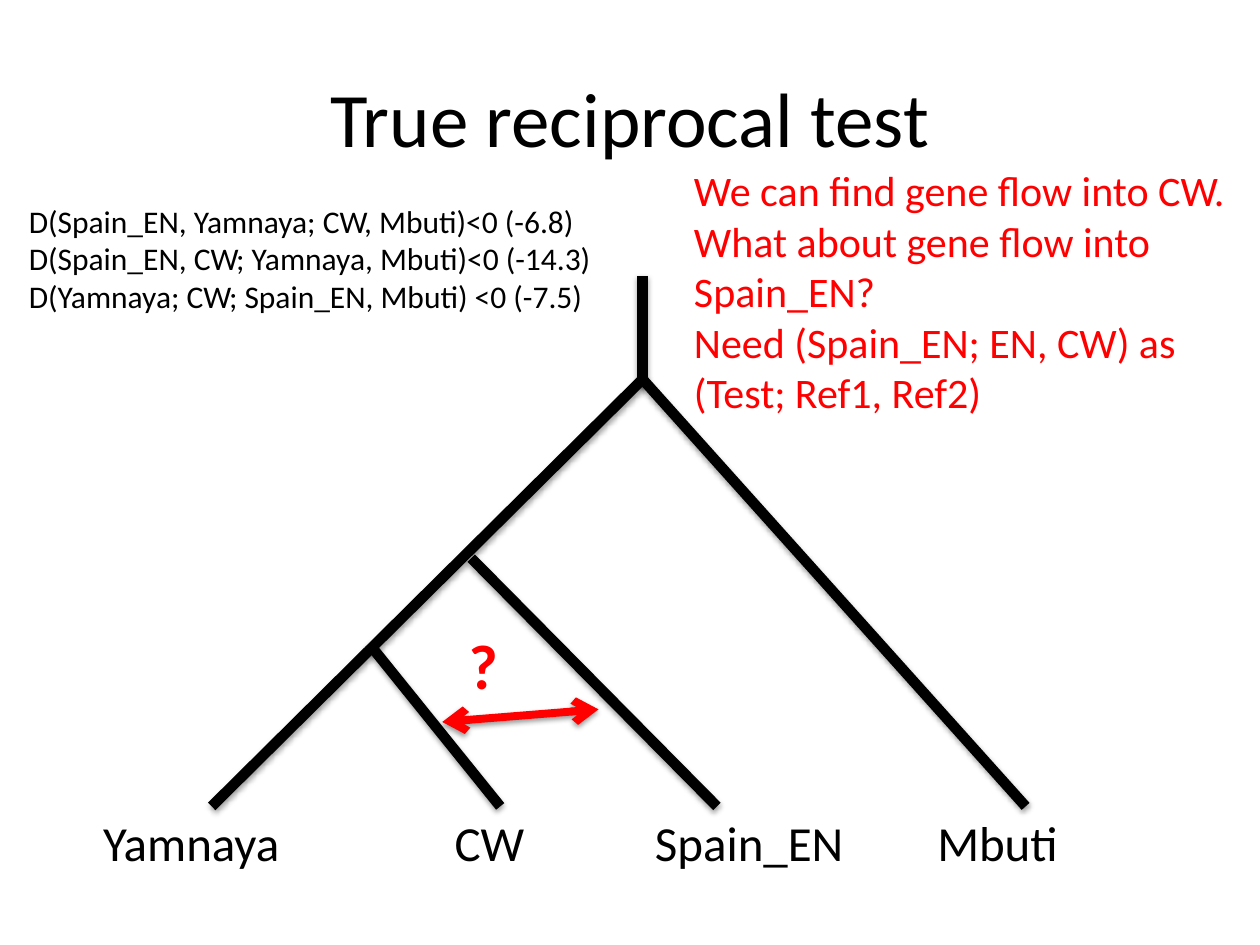
from dataclasses import dataclass

import pptx
import pptx.dml.color
import pptx.enum.shapes
import pptx.enum.text
import pptx.oxml
import pptx.oxml.ns
import pptx.util

Inches = pptx.util.Inches
Pt = pptx.util.Pt
ANCHOR = pptx.enum.text.MSO_ANCHOR
ALIGN = pptx.enum.text.PP_ALIGN

COLORS = {"ink": "000000", "accent": "FF0000"}
FONT = "Calibri"
SHADOW_XML = (
    f"<a:effectLst {pptx.oxml.ns.nsdecls('a')}>"
    f'<a:outerShdw blurRad="{Pt(3.1)}" dist="{Pt(1.6)}" dir="5400000" rotWithShape="0">'
    f'<a:srgbClr val="{COLORS["ink"]}"><a:alpha val="38000"/></a:srgbClr>'
    "</a:outerShdw></a:effectLst>"
)


@dataclass
class Branch:
    start: tuple[float, float]
    end: tuple[float, float]
    color: str = "ink"
    width: float = 6
    arrows: bool = False


@dataclass
class Label:
    lines: list[str]
    left: float
    top: float
    width: float
    height: float
    size: float
    color: str = "ink"
    bold: bool = False
    align: ALIGN = ALIGN.LEFT
    anchor: ANCHOR = ANCHOR.TOP


def rgb(name: str) -> pptx.dml.color.RGBColor:
    return pptx.dml.color.RGBColor.from_string(COLORS[name])


def draw_branch(slide: pptx.slide.Slide, branch: Branch) -> None:
    connector = slide.shapes.add_connector(
        pptx.enum.shapes.MSO_CONNECTOR.STRAIGHT,
        *(Inches(value) for value in branch.start + branch.end),
    )
    connector.line.width = Pt(branch.width)
    connector.line.color.rgb = rgb(branch.color)
    if branch.arrows:
        outline = connector.line._get_or_add_ln()
        for tag in ("headEnd", "tailEnd"):
            outline.append(pptx.oxml.parse_xml(
                f'<a:{tag} {pptx.oxml.ns.nsdecls("a")} type="arrow"/>'))
    connector._element.spPr.append(pptx.oxml.parse_xml(SHADOW_XML))


def draw_label(slide: pptx.slide.Slide, label: Label) -> None:
    box = slide.shapes.add_textbox(
        Inches(label.left), Inches(label.top), Inches(label.width), Inches(label.height))
    frame = box.text_frame
    frame.word_wrap = True
    frame.vertical_anchor = label.anchor
    frame.text = "\n".join(label.lines)
    for paragraph in frame.paragraphs:
        paragraph.alignment = label.align
        for run in paragraph.runs:
            run.font.name = FONT
            run.font.size = Pt(label.size)
            run.font.bold = label.bold
            run.font.color.rgb = rgb(label.color)


# Tree geometry: every population ends on the same line
TIP_Y = 6.4
ROOT = (5.1, 3.01)
BRANCHES = [
    Branch((ROOT[0], 2.19), (ROOT[0], 3.05)),
    Branch(ROOT, (1.68, TIP_Y)),
    Branch(ROOT, (8.14, TIP_Y)),
    Branch((3.74, 4.43), (5.69, TIP_Y)),
    Branch((2.93, 5.11), (3.97, TIP_Y)),
]
GENE_FLOW = Branch((3.51, 5.73), (4.75, 5.63), "accent", 4.5, arrows=True)

# Population name, left edge, width
POPULATIONS = [
    ("Yamnaya", 0.72, 2),
    ("CW", 3.51, 1.59),
    ("Spain_EN", 5.1, 1.76),
    ("Mbuti", 7.34, 1.59),
]

TITLE = Label(["True reciprocal test"], 0.5, 0.3, 9, 1.25, 44,
              align=ALIGN.CENTER, anchor=ANCHOR.MIDDLE)
QUESTION = Label(["?"], 3.62, 4.92, 0.68, 0.71, 36, "accent", bold=True)
D_STATISTICS = Label([
    "D(Spain_EN, Yamnaya; CW, Mbuti)<0 (-6.8)",
    "D(Spain_EN, CW; Yamnaya, Mbuti)<0 (-14.3)",
    "D(Yamnaya; CW; Spain_EN, Mbuti) <0 (-7.5)",
], 0.13, 1.55, 5.69, 1.01, 18)
CONCLUSION = Label([
    "We can find gene flow into CW. What about gene flow into Spain_EN?",
    "Need (Spain_EN; EN, CW) as (Test; Ref1, Ref2)",
], 5.41, 1.26, 4.47, 2.12, 24, "accent")

presentation = pptx.Presentation()
presentation.slide_width = Inches(10)
presentation.slide_height = Inches(7.5)
slide = presentation.slides.add_slide(presentation.slide_layouts[6])

# Title
draw_label(slide, TITLE)

# Tree and population names
for branch in BRANCHES:
    draw_branch(slide, branch)
for name, left, width in POPULATIONS:
    draw_label(slide, Label([name], left, TIP_Y, width, 0.57, 28))

# Gene flow in question, and the commentary
draw_branch(slide, GENE_FLOW)
for label in (QUESTION, D_STATISTICS, CONCLUSION):
    draw_label(slide, label)

presentation.save("out.pptx")
